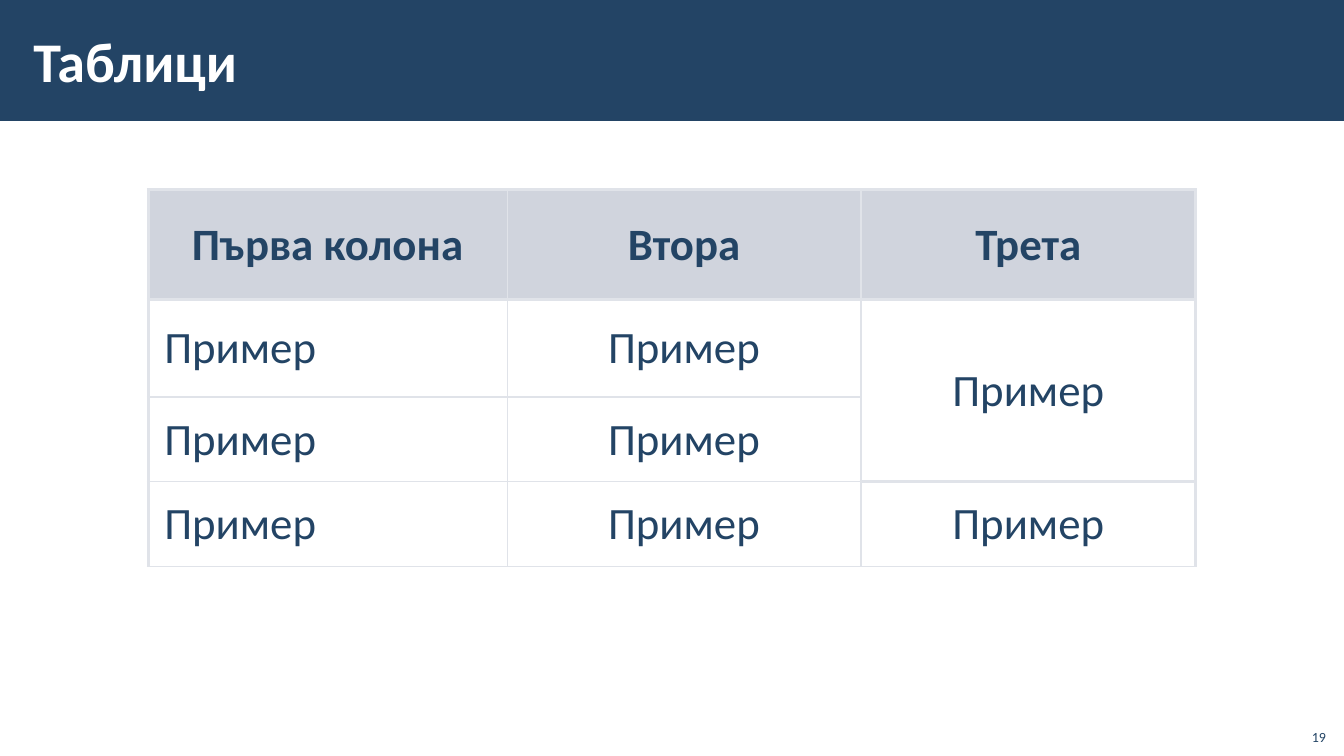
from lxml import etree
from pptx import Presentation
from pptx.dml.color import RGBColor
from pptx.enum.shapes import MSO_SHAPE
from pptx.enum.text import MSO_ANCHOR, PP_ALIGN
from pptx.oxml.ns import qn
from pptx.util import Inches, Pt

LEFT, CENTER, RIGHT = PP_ALIGN.LEFT, PP_ALIGN.CENTER, PP_ALIGN.RIGHT
MIDDLE, BOTTOM = MSO_ANCHOR.MIDDLE, MSO_ANCHOR.BOTTOM

# Content
TITLE = "Таблици"
PAGE = "19"
ROWS = [
    ("Първа колона", "Втора", "Трета"),
    ("Пример", "Пример", "Пример"),
    ("Пример", "Пример", None),  # None continues the cell above
    ("Пример", "Пример", "Пример"),
]

# Format
COLORS = {"navy": "234465", "white": "FFFFFF", "header": "A3ABBC", "line": "E0E3E9"}
FONT = "Calibri"
SLIDE_W, SLIDE_H = 13.33, 7.5
BAR_H = 0.16 * SLIDE_H
TABLE_LEFT, TABLE_TOP = 1.47, 1.88
COL_WIDTHS = [3.56, 3.51, 3.32]
ROW_HEIGHTS = [1.09, 0.97, 0.84, 0.84]
THICK, THIN = 2.25, 1
VERTICAL_RULES = [THICK, THIN, THICK, THICK]
HORIZONTAL_RULES = [THICK, THICK, THIN, THIN, THIN]


def color(name):
    return RGBColor.from_string(COLORS[name])


def write(frame, text, size, ink="navy", bold=False, align=LEFT, spacing=None):
    paragraph = frame.paragraphs[0]
    paragraph.alignment = align
    paragraph.space_before = Pt(0)
    if spacing:
        paragraph.line_spacing = spacing
    run = paragraph.add_run()
    run.text = text
    run.font.name = FONT
    run.font.size = Pt(size)
    run.font.bold = bold
    run.font.color.rgb = color(ink)


def set_box(shape, left, top, width, height):
    shape.left, shape.top = Inches(left), Inches(top)
    shape.width, shape.height = Inches(width), Inches(height)


def set_insets(target, side, end):
    target.margin_left = target.margin_right = Inches(side)
    target.margin_top = target.margin_bottom = Inches(end)


def add_borders(cell, **weights):
    properties = cell._tc.get_or_add_tcPr()
    for position, (side, weight) in enumerate(weights.items()):
        line = etree.Element(qn(f"a:ln{side}"), w=str(Pt(weight)))
        fill = etree.SubElement(line, qn("a:solidFill"))
        etree.SubElement(fill, qn("a:srgbClr"), val=COLORS["line"])
        properties.insert(position, line)


def main():
    prs = Presentation()
    prs.slide_width, prs.slide_height = Inches(SLIDE_W), Inches(SLIDE_H)
    slide = prs.slides.add_slide(prs.slide_layouts[5])
    shapes = slide.shapes

    # Title bar, placed behind the title
    bar = shapes.add_shape(MSO_SHAPE.RECTANGLE, 0, 0, prs.slide_width, Inches(BAR_H))
    bar.shadow.inherit = False
    bar.fill.solid()
    bar.fill.fore_color.rgb = color("navy")
    bar.line.fill.background()
    shapes._spTree.insert(2, bar._element)

    # Title
    title = shapes.title
    set_box(title, 0.21, 0.11, 11.23, 0.97)
    set_insets(title.text_frame, 0.12, 0.04)
    title.text_frame.vertical_anchor = MIDDLE
    write(title.text_frame, TITLE, 40, ink="white", bold=True)

    # Page number
    page = shapes.add_textbox(0, 0, 0, 0)
    set_box(page, 12.85, 7.12, 0.4, 0.32)
    page.text_frame.word_wrap = True
    page.text_frame.vertical_anchor = BOTTOM
    write(page.text_frame, PAGE, 10, align=RIGHT)

    # Table grid
    table = shapes.add_table(
        len(ROWS), len(COL_WIDTHS), Inches(TABLE_LEFT), Inches(TABLE_TOP),
        Inches(sum(COL_WIDTHS)), Inches(sum(ROW_HEIGHTS))).table
    table.horz_banding = False
    for column, width in zip(table.columns, COL_WIDTHS):
        column.width = Inches(width)
    for row, height in zip(table.rows, ROW_HEIGHTS):
        row.height = Inches(height)

    # Table cells
    for r, texts in enumerate(ROWS):
        for c, text in enumerate(texts):
            cell = table.cell(r, c)
            is_header = r == 0
            cell.vertical_anchor = MIDDLE
            set_insets(cell, 0.16, 0.05)
            if is_header:
                cell.fill.solid()
                cell.fill.fore_color.rgb = color("header")
                tint = cell._tc.tcPr.find(".//" + qn("a:srgbClr"))
                etree.SubElement(tint, qn("a:alpha"), val="50000")
            else:
                cell.fill.background()
            last_column = c == len(texts) - 1
            top, bottom = HORIZONTAL_RULES[r:r + 2]
            if last_column and r < len(ROWS) - 1:
                bottom = THICK
            if last_column:
                top = THICK
            add_borders(cell, L=VERTICAL_RULES[c], R=VERTICAL_RULES[c + 1], T=top, B=bottom)
            if text is None:
                table.cell(r - 1, c).merge(cell)
            else:
                write(cell.text_frame, text, 32, bold=is_header, spacing=0.95,
                      align=CENTER if is_header or c else LEFT)

    prs.save("out.pptx")


if __name__ == "__main__":
    main()
